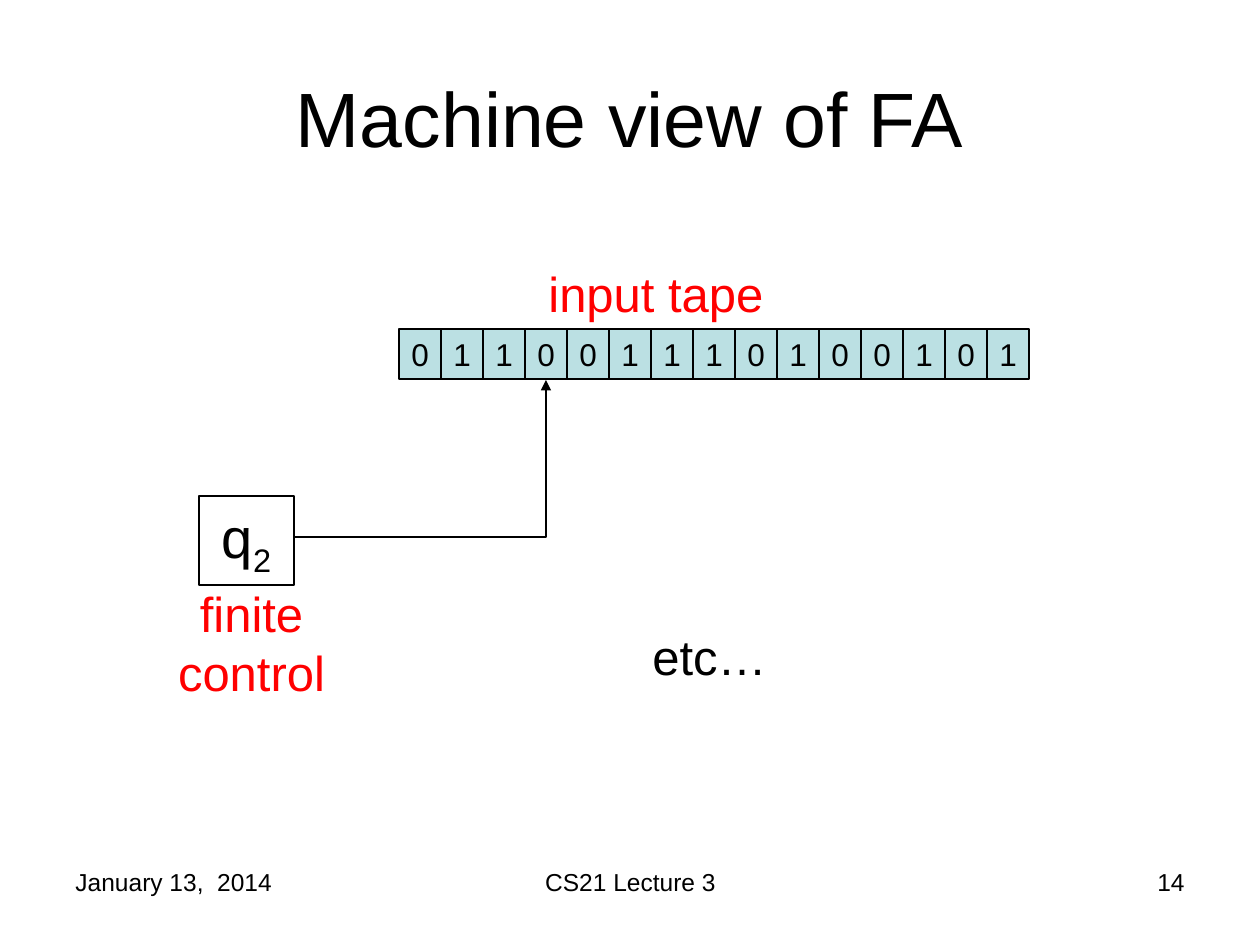
from pptx import Presentation
from pptx.dml.color import RGBColor
from pptx.enum.shapes import MSO_CONNECTOR, MSO_SHAPE
from pptx.enum.text import MSO_ANCHOR, PP_ALIGN
from pptx.oxml.ns import qn
from pptx.util import Pt
from lxml.etree import SubElement

PIXEL = 914400 // 126
BLACK, RED, TEAL = "000000", "FF0000", "BBE0E3"
LINE_WIDTH = Pt(0.74)


def color(value):
    return RGBColor.from_string(value)


def scaled(box):
    return [length * PIXEL for length in box]


def set_values(target, values):
    for name, value in values.items():
        setattr(target, name, value)


def write(shape, text, size, ink=BLACK, align=PP_ALIGN.LEFT,
          anchor=MSO_ANCHOR.TOP, before=0, subscript=""):
    set_values(shape.text_frame, {"word_wrap": True, "vertical_anchor": anchor})
    paragraph = shape.text_frame.paragraphs[0]
    set_values(paragraph, {"alignment": align, "space_before": Pt(before)})
    for part in filter(None, (text, subscript)):
        run = paragraph.add_run()
        run.text = part
        set_values(run.font, {"name": "Arial", "size": Pt(size)})
        run.font.color.rgb = color(ink)
    if subscript:
        run.font._element.set("baseline", "-25000")


def add_label(slide, box, text, size, **style):
    write(slide.shapes.add_textbox(*scaled(box)), text, size, **style)


def add_box(slide, box, text, size, fill=None, **style):
    shape = slide.shapes.add_shape(MSO_SHAPE.RECTANGLE, *scaled(box))
    shape.shadow.inherit = False
    if fill:
        shape.fill.solid()
        shape.fill.fore_color.rgb = color(fill)
    else:
        shape.fill.background()
    shape.line.color.rgb = color(BLACK)
    shape.line.width = LINE_WIDTH
    write(shape, text, size, align=PP_ALIGN.CENTER, **style)


def add_tape(slide, box, symbols):
    left, top, width, height = box
    cell_width = width // len(symbols)
    for index, symbol in enumerate(symbols):
        cell = (left + index * cell_width, top, cell_width, height)
        add_box(slide, cell, symbol, 18, fill=TEAL, before=11.2)
    add_label(slide, (left + 137, top - 72, 294, 72), "input tape", 28,
              ink=RED, before=17.5)


def add_control(slide, box):
    left, top, width, height = box
    add_box(slide, box, "q", 32, subscript="2", before=20)
    add_label(slide, (left - 63, top + 81, 231, 131), "finite control", 28,
              ink=RED, align=PP_ALIGN.CENTER, before=17.5)


def add_head(slide, start, end):
    connector = slide.shapes.add_connector(
        MSO_CONNECTOR.ELBOW, *scaled(start + end))
    connector.line.color.rgb = color(BLACK)
    connector.line.width = LINE_WIDTH
    properties = connector._element.spPr
    properties.find(qn("a:prstGeom")).set("prst", "bentConnector2")
    SubElement(properties.find(qn("a:ln")), qn("a:tailEnd"), type="triangle")
    SubElement(properties, qn("a:effectLst"))


def add_footer(slide, box):
    left, top, width, height = box
    entries = (
        (0, 294, "January 13,  2014", PP_ALIGN.LEFT),
        (368, 399, "CS21 Lecture 3", PP_ALIGN.CENTER),
        (width - 294, 294, "14", PP_ALIGN.RIGHT),
    )
    for offset, entry_width, text, align in entries:
        add_label(slide, (left + offset, top, entry_width, height), text, 14,
                  align=align)


presentation = Presentation()
set_values(presentation, {"slide_width": 1260 * PIXEL,
                          "slide_height": 945 * PIXEL})
slide = presentation.slides.add_slide(presentation.slide_layouts[6])
add_footer(slide, (63, 861, 1134, 66))
add_label(slide, (63, 38, 1134, 158), "Machine view of FA", 44,
          align=PP_ALIGN.CENTER, anchor=MSO_ANCHOR.MIDDLE)
add_tape(slide, (399, 329, 630, 50), "011001110100101")
add_control(slide, (199, 496, 95, 89))
add_head(slide, (294, 537), (546, 380))
add_label(slide, (640, 620, 315, 72), "etc…", 28, before=17.5)
presentation.save("out.pptx")
